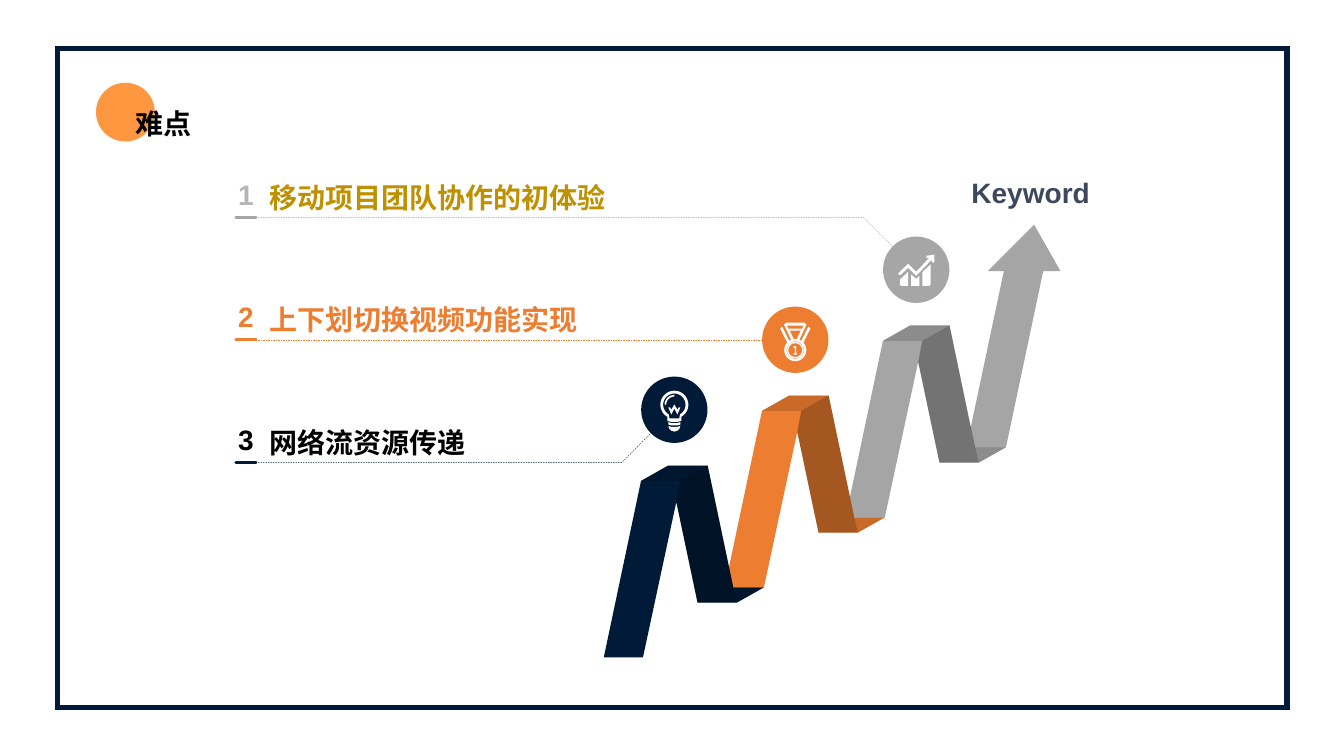
import math
from collections import namedtuple

from lxml import etree
from pptx import Presentation
from pptx.dml.color import RGBColor
from pptx.enum import dml, shapes, text
from pptx.oxml import ns
from pptx.util import Pt

Box = namedtuple("Box", "left top width height")

COLORS = {
    "navy": "001A37", "orange": "ED7D31", "gray": "A5A5A5", "badge_gray": "A6A6A6",
    "peach": "FF9740", "gold": "BF9000", "pale": "B5B5B5", "slate": "3D485D",
    "black": "000000", "white": "FFFFFF",
}
LATIN, CJK = "Arial", "Noto Sans CJK SC"


# Basic parts
def rgb(name):
    return RGBColor.from_string(COLORS[name])


def paint(shape, color, opacity=None):
    shape.shadow.inherit = False
    shape.fill.solid()
    shape.fill.fore_color.rgb = rgb(color)
    shape.line.fill.background()
    if opacity:
        fill = shape.fill._xPr.find(ns.qn("a:solidFill"))
        etree.SubElement(fill[0], ns.qn("a:alpha"), val=str(opacity * 1000))


def stroke(line, color, width, dash=None):
    line.color.rgb = rgb(color)
    line.width = Pt(width)
    line.dash_style = dash


def outline(page, origin, contours, close=True):
    """Draw contours whose points are offsets in points from origin."""
    placed = [[(Pt(origin[0] + x), Pt(origin[1] + y)) for x, y in contour]
              for contour in contours]
    builder = page.shapes.build_freeform(*placed[0][0])
    for index, contour in enumerate(placed):
        if index:
            builder.move_to(*contour[0])
        builder.add_line_segments(contour[1:], close=close)
    shape = builder.convert_to_shape()
    shape.shadow.inherit = False
    return shape


def connector(page, start, end, color, width, dash=None, round_cap=False):
    link = page.shapes.add_connector(
        shapes.MSO_CONNECTOR.STRAIGHT, *(Pt(v) for v in (*start, *end)))
    stroke(link.line, color, width, dash)
    etree.SubElement(link._element.spPr, ns.qn("a:effectLst"))
    if round_cap:
        link.line._get_or_add_ln().set("cap", "rnd")


def disc(page, center, diameter, color):
    left, top = (v - diameter / 2 for v in center)
    shape = page.shapes.add_shape(
        shapes.MSO_SHAPE.OVAL, Pt(left), Pt(top), Pt(diameter), Pt(diameter))
    paint(shape, color)


def label(page, box, words, color, font=LATIN, align=text.PP_ALIGN.LEFT,
          margins=(0, 0), spacing=None):
    frame = page.shapes.add_textbox(*(Pt(v) for v in box)).text_frame
    side, edge = (Pt(v) for v in margins)
    frame_format = {"word_wrap": True, "margin_left": side, "margin_right": side,
                    "margin_top": edge, "margin_bottom": edge}
    para = frame.paragraphs[0]
    span = para.add_run()
    span.text = words
    span_format = {"name": font, "size": Pt(20), "bold": True}
    para_format = {"alignment": align, "line_spacing": spacing}
    for target, values in ((frame, frame_format), (para, para_format),
                           (span.font, span_format)):
        for name, value in values.items():
            setattr(target, name, value)
    span.font.color.rgb = rgb(color)
    etree.SubElement(span._r.get_or_add_rPr(), ns.qn("a:ea"), typeface=CJK)


# Icon contours, offset from the centre of their badge
def arc(x, y, radius, start=0, end=350, step=10):
    return [(x + radius * math.cos(math.radians(a)), y + radius * math.sin(math.radians(a)))
            for a in range(start, end + 1, step)]


def mirror(points):
    return [(-x, y) for x, y in points]


def bulb():
    return [
        arc(0, -3.6, 10, 120, 420) + [(5, 8), (2.5, 8.6), (-2.5, 8.6), (-5, 8)],
        arc(0, -3.6, 8, 120, 420) + [(3.5, 6.2), (-3.5, 6.2)],
        arc(0, -3.6, 7, 180, 270) + arc(0, -3.6, 5.8, 180, 270)[::-1],
        [(-4.3, -1.6), (-3, -1.6), (-2.2, 0), (0, -3.8), (2.2, 0), (3, -1.6), (4.3, -1.6),
         (2.2, 3.4), (0, -0.8), (-2.2, 3.4)],
        [(-4.3, 8.8), (-2, 9.6), (2, 9.6), (4.3, 8.8), (4.3, 10.6), (2, 11.2),
         (-2, 11.2), (-4.3, 10.6)],
        [(-4.3, 11.6), (-2, 12.3), (2, 12.3), (4.3, 11.6), (3.6, 13.6), (2.2, 15),
         (0, 15.6), (-2.2, 15), (-3.6, 13.6)],
    ]


def medal():
    strap = [(-9.4, -9.4), (-10.8, -8), (-5.8, 2), (-4.3, 0.7)]
    return [
        *(arc(0, 7.4, radius) for radius in (7.9, 6.2, 5.8, 4.9)),
        strap, mirror(strap),
        [(-8, -10.8), (-6.5, -12.2), (6.5, -12.2), (8, -10.8), (3, 0), (-3, 0)],
        [(-5.8, -10), (5.8, -10), (5, -8), (-5, -8)],
        [(-4, -6.5), (4, -6.5), (0.8, 0), (-0.8, 0)],
        [(-0.3, 4.3), (0.6, 4.3), (0.6, 9.8), (1.4, 9.8), (1.4, 10.6), (-1.1, 10.6),
         (-1.1, 9.8), (-0.3, 9.8), (-0.3, 5.8), (-1.4, 5.8), (-1.4, 5)],
    ]


def growth():
    return [
        [(-11.7, 7), (-5.8, 1.5), (-5.8, 11.5), (-10.8, 11.5), (-11.7, 10.4)],
        [(-3.6, 3.4), (0, 6.5), (2.2, 4.3), (2.2, 11.5), (-3.6, 11.5)],
        [(4.3, 1.8), (10.2, -3.8), (10.2, 10.4), (9.3, 11.5), (4.3, 11.5)],
        [(-12.8, 2.5), (-5.8, -4.3), (0, 1.4), (9.2, -8.4), (7.2, -8.4), (7.2, -10),
         (13, -10.8), (13, -5.6), (12.2, -5), (11, -5.6), (11, -7.2), (0, 4.3),
         (-5.8, -1.4), (-11, 3.6), (-12.6, 3.6)],
    ]


# Slide regions
def header(page, box):
    disc(page, (box.left + 21, box.top + 21), 42, "peach")
    label(page, (box.left + 21, box.top + 6.5, 58.3, 36), "难点", "black", CJK,
          margins=(7.2, 3.6), spacing=1.3)


def ribbon(page, box, color, arrow=False):
    """Folded strip: a front, two folds and a shaded back."""
    x, y = box.left, box.top
    tip = [(74.2, 0), (92.5, 87), (114.5, 87)]
    if arrow:
        tip = [(74.2, 0), (89.3, 73), (113, -38.9), (101.5, -38.9), (134.6, -72),
               (153.4, -38.9), (141.1, -38.9), (114.5, 87)]
    front = [(95, 98), (67, 98), (51.8, 26), (28, 137), (0, 137), (26.6, 11), (46, 0)]
    paint(outline(page, (x, y), [front + tip]), color)
    shades = [
        ([(95, 98), (114.5, 87), (92.5, 87)], 15),
        ([(95, 98), (67, 98), (51.8, 26), (54.7, 11), (74.2, 0), (92.5, 87)], 30),
        ([(74.2, 0), (54.7, 11), (26.6, 11), (46, 0)], 15),
    ]
    for points, opacity in shades:
        paint(outline(page, (x, y), [points]), "black", opacity)


def entry(page, box, number, words, number_color, word_color, rule_color, leader):
    """Numbered line of text with its rule and the leader to its badge."""
    base = box.top + box.height
    label(page, (box.left, base - 28.6, 15.6, 24.2), number, number_color,
          align=text.PP_ALIGN.CENTER)
    label(page, (box.left + 24.5, base - 26.6, box.width, 24.2), words, word_color)
    points = [(13, 0), *leader]
    if len(points) == 2:
        start, end = ((box.left + dx, base + dy) for dx, dy in points)
        connector(page, start, end, rule_color, 0.25, dml.MSO_LINE.DASH)
    else:
        path = outline(page, (box.left, base), [points], close=False)
        path.fill.background()
        stroke(path.line, rule_color, 0.25, dml.MSO_LINE.DASH)
    connector(page, (box.left + 15.1, base), (box.left + 0.7, base), rule_color, 2,
              round_cap=True)


def badge(page, box, color, icon):
    center = (box.left + box.width / 2, box.top + box.height / 2)
    disc(page, center, box.width, color)
    paint(outline(page, center, icon()), "white")


def difficulties_page(deck, box):
    page = deck.slides.add_slide(deck.slide_layouts[6])
    border = page.shapes.add_shape(shapes.MSO_SHAPE.RECTANGLE, *(Pt(v) for v in box))
    border.shadow.inherit = False
    border.fill.background()
    stroke(border.line, "navy", 3.75)
    etree.SubElement(border.line._get_or_add_ln(), ns.qn("a:miter"), lim="800000")
    header(page, Box(box.left + 27.6, box.top + 24.5, 80, 43))

    # Numbered entries
    entries = [
        ("1", "移动项目团队协作的初体验", "pale", "gold", "gray", [(449, 0), (471, 22)]),
        ("2", "上下划切换视频功能实现", "orange", "orange", "orange", [(378, 0)]),
        ("3", "网络流资源传递", "black", "black", "navy", [(276.5, 0), (298, -21.6)]),
    ]
    for row, parts in enumerate(entries):
        entry(page, Box(box.left + 126.8, box.top + 91.7 + 87.5 * row, 248, 29), *parts)

    # Rising ribbon, farthest strip first, with a badge over each strip
    steps = [("navy", "navy", bulb), ("orange", "orange", medal),
             ("gray", "badge_gray", growth)]
    for index, (color, badge_color, icon) in reversed(list(enumerate(steps))):
        left, top = box.left + 390.3 + 86.4 * index, box.top + 297.9 - 50 * index
        ribbon(page, Box(left, top, 114.5, 137), color, arrow=index == 2)
        badge(page, Box(left + 26.7, top - 63.5, 47.4, 47.4), badge_color, icon)
    label(page, (box.left + 639.4, box.top + 91, 111.6, 24.2), "Keyword", "slate",
          align=text.PP_ALIGN.CENTER)


def main():
    deck = Presentation()
    deck.slide_width, deck.slide_height = Pt(960), Pt(540)
    difficulties_page(deck, Box(41, 34.6, 878.4, 470.9))
    deck.save("out.pptx")


if __name__ == "__main__":
    main()
